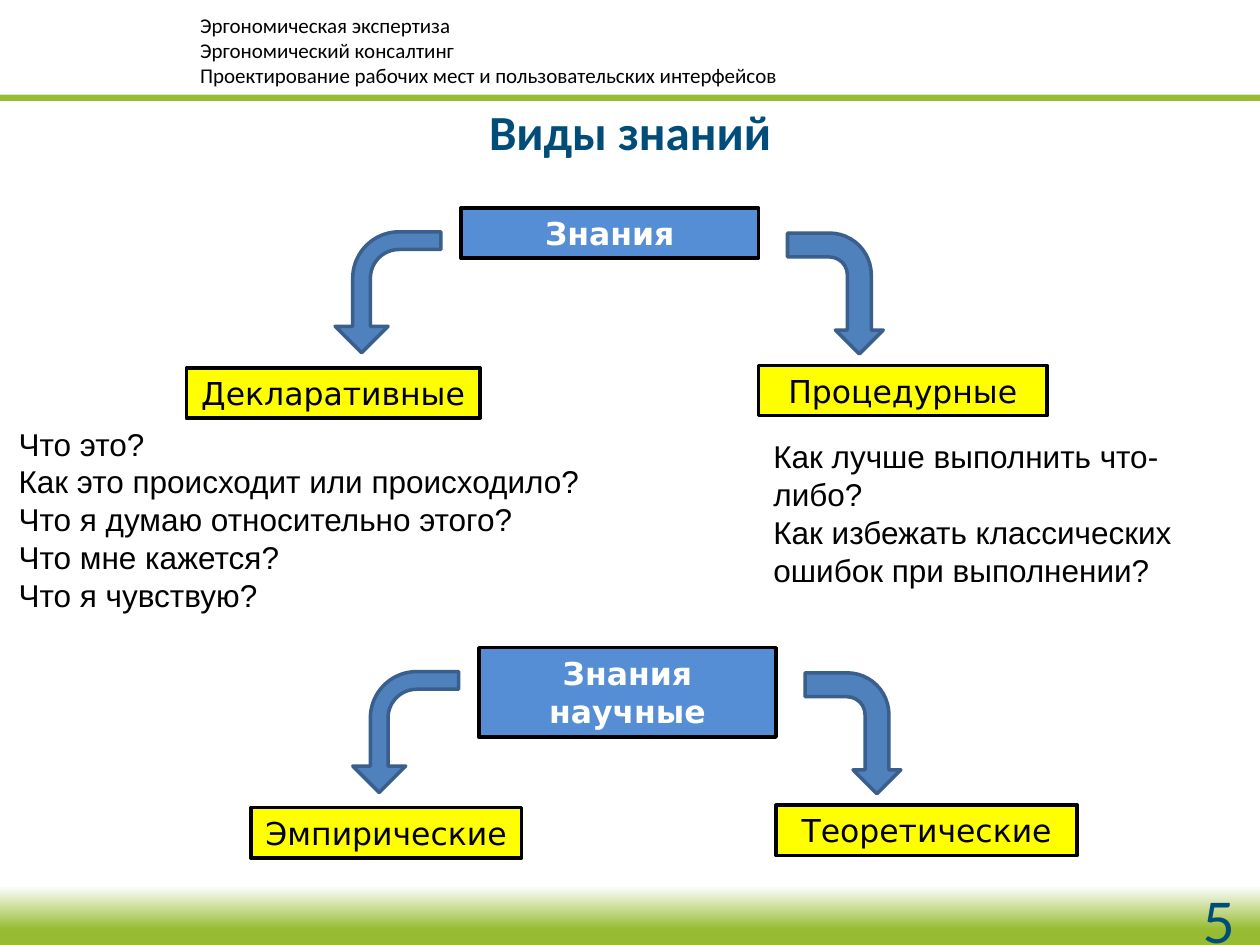
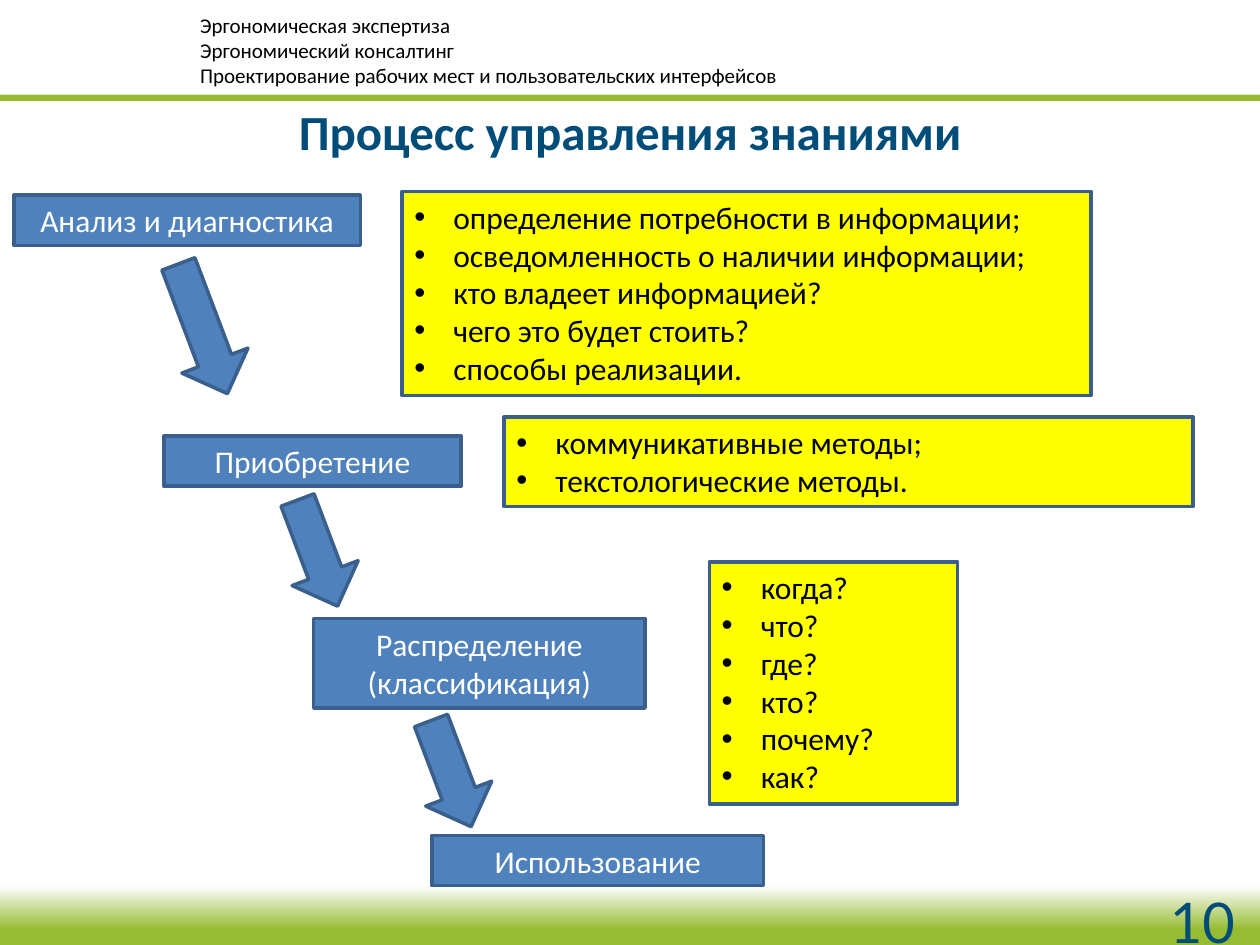
"""Builds two slides on kinds of knowledge and the knowledge management process."""
from lxml import etree
from pptx import Presentation
from pptx import util as u
from pptx.dml.color import RGBColor
from pptx.enum import shapes, text
from pptx.oxml.ns import qn

COLORS = {
    "green": "97BC33", "title": "004D79", "white": "FFFFFF", "black": "000000",
    "root": "558ED5", "step": "4F81BD", "edge": "3A5F8C", "yellow": "FFFF00",
}
HEADER = [
    "Эргономическая экспертиза",
    "Эргономический консалтинг",
    "Проектирование рабочих мест и пользовательских интерфейсов",
]
KINDS_TITLE, KINDS_NUMBER = "Виды знаний", "5"
TREES = [
    {"root": "Знания", "at": (3.66, 1.65), "height": 0.4,
     "left": ("Декларативные", 1.48, 2.33), "right": ("Процедурные", 2.29)},
    {"root": "Знания научные", "at": (3.8, 5.14), "height": 0.71,
     "left": ("Эмпирические", 1.99, 2.15), "right": ("Теоретические", 2.39)},
]
QUESTIONS = [
    ((0.05, 3.32, 5, 1.62), [
        "Что это?",
        "Как это происходит или происходило?",
        "Что я думаю относительно этого?",
        "Что мне кажется?",
        "Что я чувствую?",
    ]),
    ((6.04, 3.42, 3.96, 1.31), [
        "Как лучше выполнить что-либо?",
        "Как избежать классических ошибок при выполнении?",
    ]),
]
PROCESS_TITLE, PROCESS_NUMBER = "Процесс управления знаниями", "10"
STEPS = [
    ((0.11, 1.55, 2.75, 0.4), ["Анализ и диагностика"]),
    ((1.3, 3.46, 2.36, 0.4), ["Приобретение"]),
    ((2.49, 4.91, 2.63, 0.71), ["Распределение", "(классификация)"]),
    ((3.43, 6.63, 2.63, 0.4), ["Использование"]),
]
DETAILS = [
    ((3.19, 1.52, 5.47, 1.62), [
        "определение потребности в информации;",
        "осведомленность о наличии информации;",
        "кто владеет информацией?",
        "чего это будет стоить?",
        "способы реализации.",
    ]),
    ((4, 3.31, 5.47, 0.71), ["коммуникативные методы;", "текстологические методы."]),
    ((5.63, 4.46, 1.97, 1.92), ["когда?", "что?", "где?", "кто?", "почему?", "как?"]),
]
STEP_ARROWS = [(1.06, 2.33, 1.1), (2.07, 4.11, 0.9), (3.13, 5.86, 0.9)]

ROOT_WIDTH, LABEL_HEIGHT, ARROW_LENGTH = 2.36, 0.4, 0.96
BULLET_INDENT = u.Inches(0.31)
ALIGN = text.PP_ALIGN
PRESET = shapes.MSO_SHAPE


def color(name):
    return RGBColor.from_string(COLORS[name])


def add_bullet(paragraph):
    properties = paragraph._p.get_or_add_pPr()
    properties.set("marL", str(BULLET_INDENT))
    properties.set("indent", str(-BULLET_INDENT))
    etree.SubElement(properties, qn("a:buFont")).set("typeface", "Arial")
    etree.SubElement(properties, qn("a:buChar")).set("char", "•")


def write(shape, lines, size=18, font="Calibri", ink="black", bold=False,
          align=ALIGN.LEFT, anchor=text.MSO_ANCHOR.TOP, grow=True, bullets=False):
    frame = shape.text_frame
    frame.word_wrap = True
    frame.vertical_anchor = anchor
    if grow:
        frame.auto_size = text.MSO_AUTO_SIZE.SHAPE_TO_FIT_TEXT
    for index, line in enumerate(lines):
        paragraph = frame.add_paragraph() if index else frame.paragraphs[0]
        paragraph.alignment = align
        if bullets:
            add_bullet(paragraph)
        run = paragraph.add_run()
        run.text = line
        run.font.size, run.font.name, run.font.bold = u.Pt(size), font, bold
        run.font.color.rgb = color(ink)


def add_text(slide, box, lines, **style):
    write(slide.shapes.add_textbox(*map(u.Inches, box)), lines, **style)


def add_shape(slide, box, fill, edge=None, preset=PRESET.RECTANGLE, rotation=0):
    shape = slide.shapes.add_shape(preset, *map(u.Inches, box))
    shape.shadow.inherit = False
    shape.rotation = rotation
    shape.fill.solid()
    shape.fill.fore_color.rgb = color(fill)
    if edge:
        shape.line.color.rgb = color(edge)
        shape.line.width = u.Pt(2)
    else:
        shape.line.fill.background()
    return shape


def add_box(slide, box, lines, fill, edge, **style):
    write(add_shape(slide, box, fill, edge), lines, **style)


def add_base(presentation, title, number):
    slide = presentation.slides.add_slide(presentation.slide_layouts[6])
    footer = add_shape(slide, (-0.16, 7.03, 10.47, 0.55), "green")
    footer.fill.gradient()
    footer.fill.gradient_angle = 90
    stops = zip(footer.fill.gradient_stops, ((0.37, "green"), (1, "white")))
    for stop, (position, name) in stops:
        stop.position = position
        stop.color.rgb = color(name)
    add_text(slide, (1.49, 0.05, 7.61, 0.7), HEADER, size=12)
    add_shape(slide, (-0.47, 0.75, 10.78, 0.05), "green")
    add_text(slide, (7.57, 7.11, 2.33, 0.4), [number], size=32, font="Lato", ink="title",
             align=ALIGN.RIGHT, anchor=text.MSO_ANCHOR.MIDDLE, grow=False)
    add_text(slide, (0, 0.76, 10, 0.57), [title], size=28, ink="title", bold=True,
             align=ALIGN.CENTER)
    return slide


def add_bent_arrow(slide, left, top, height):
    return add_shape(slide, (left, top, ARROW_LENGTH, height), "step", "edge",
                     PRESET.BENT_ARROW, 90)


def add_tree(slide, tree):
    left, top = tree["at"]
    left_name, left_x, left_width = tree["left"]
    right_name, right_width = tree["right"]
    style = {"font": "DejaVu Sans", "align": ALIGN.CENTER}
    add_box(slide, (left, top, ROOT_WIDTH, tree["height"]), [tree["root"]],
            "root", "black", ink="white", bold=True, **style)
    labels = [
        (left_name, left_x, top + 1.27, left_width),
        (right_name, left + ROOT_WIDTH, top + 1.25, right_width),
    ]
    for name, x, y, width in labels:
        add_box(slide, (x, y, width, LABEL_HEIGHT), [name], "yellow", "black", **style)
    add_bent_arrow(slide, left + 2.49, top + 0.3, 0.76)
    mirrored = add_bent_arrow(slide, left - 1.06, top + 0.25, 0.84)
    mirrored._element.spPr.find(qn("a:xfrm")).set("flipV", "1")
    for index, value in enumerate((0.167, 0.25, 0.25, 0.438)):
        mirrored.adjustments[index] = value


def build_kinds(presentation):
    slide = add_base(presentation, KINDS_TITLE, KINDS_NUMBER)
    for tree in TREES:
        add_tree(slide, tree)
    for box, lines in QUESTIONS:
        add_text(slide, box, lines, font="Arial")


def build_process(presentation):
    slide = add_base(presentation, PROCESS_TITLE, PROCESS_NUMBER)
    for box, lines in STEPS:
        add_box(slide, box, lines, "step", "edge", ink="white", align=ALIGN.CENTER)
    for box, lines in DETAILS:
        add_box(slide, box, lines, "yellow", "edge", bullets=True)
    for left, top, length in STEP_ARROWS:
        add_shape(slide, (left, top, length, 0.56), "step", "edge", PRESET.RIGHT_ARROW, 69.3)


def main():
    presentation = Presentation()
    presentation.slide_width, presentation.slide_height = u.Inches(10), u.Inches(7.5)
    build_kinds(presentation)
    build_process(presentation)
    presentation.save("out.pptx")


if __name__ == "__main__":
    main()
